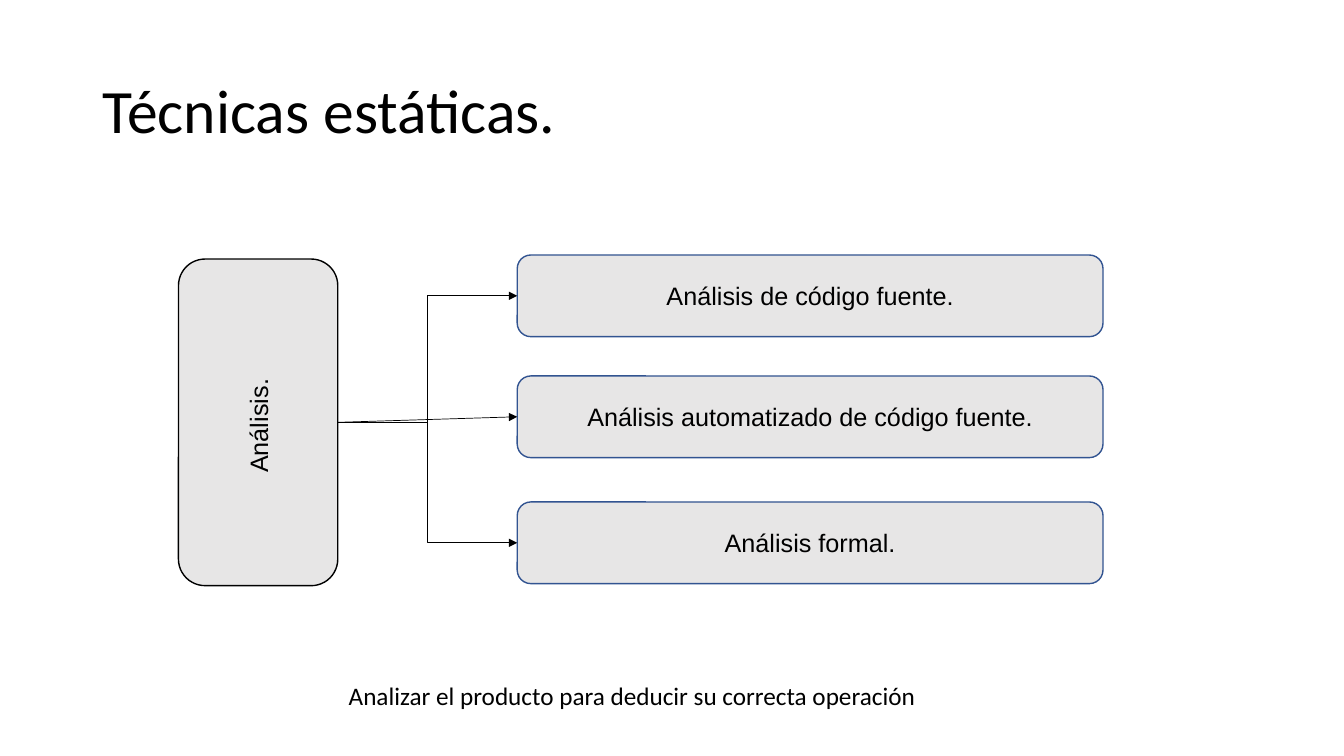
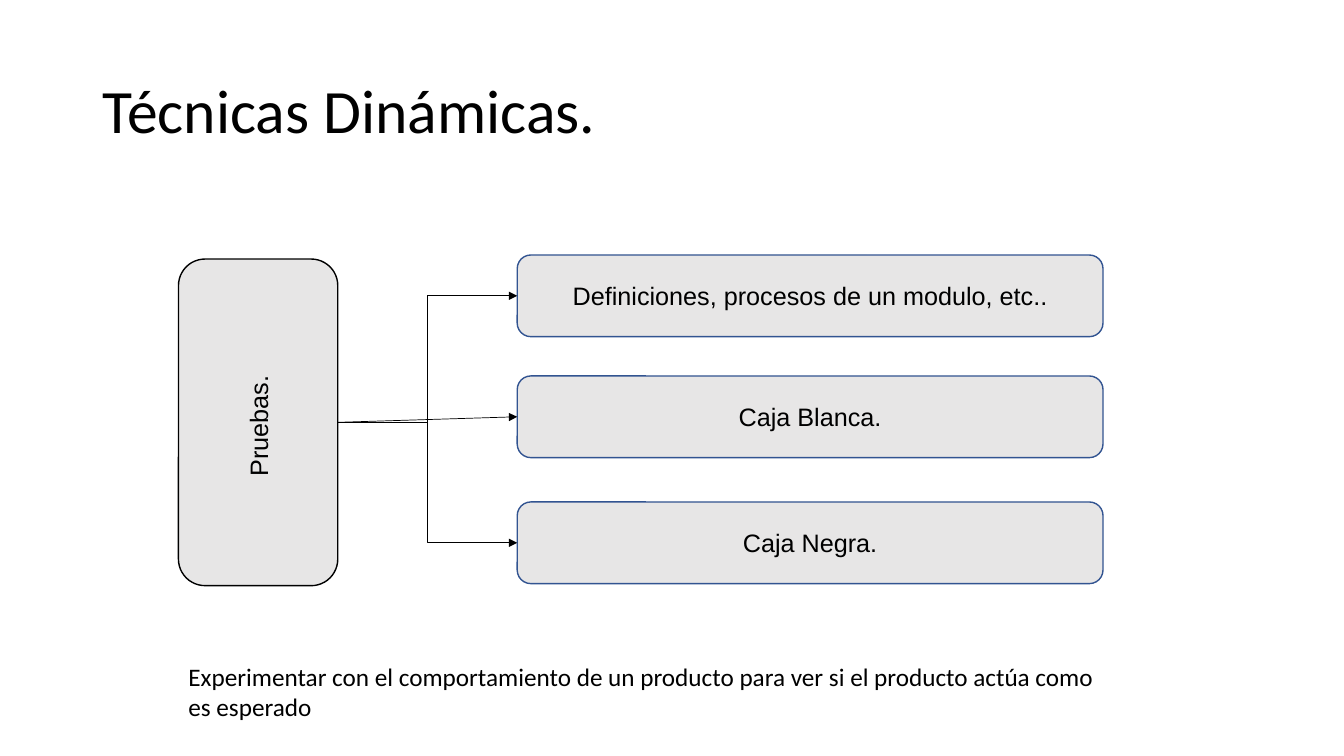
from dataclasses import dataclass

from lxml.etree import SubElement
from pptx import Presentation
from pptx.dml.color import RGBColor
from pptx.enum.shapes import MSO_CONNECTOR, MSO_SHAPE
from pptx.enum.text import MSO_ANCHOR, MSO_AUTO_SIZE, PP_ALIGN
from pptx.oxml.ns import qn
from pptx.presentation import Presentation as Deck
from pptx.shapes.autoshape import Shape
from pptx.slide import Slide
from pptx.util import Inches, Pt

COLOURS = {"text": "000000", "fill": "E7E6E6", "border": "325491"}
TITLE_FONT = "Calibri"
BOX_FONT = "Arial"
BODY_SIZE = 18


@dataclass(frozen=True)
class Area:
    left: float
    top: float
    width: float
    height: float

    @property
    def middle(self) -> float:
        return self.top + self.height / 2

    def lengths(self) -> tuple[int, ...]:
        return tuple(Inches(value) for value in (self.left, self.top, self.width, self.height))


@dataclass(frozen=True)
class Technique:
    title: str
    root: str
    branches: tuple[str, str, str]
    caption: str
    caption_area: Area


TITLE_AREA = Area(0.92, 0.4, 11.5, 1.45)
ROOT_AREA = Area(0.94, 3.4, 3.24, 1.58)
BRANCH_AREAS = tuple(Area(5.13, top, 5.81, 0.81) for top in (2.53, 3.73, 4.98))
ROOT_EDGE = ROOT_AREA.left + (ROOT_AREA.width + ROOT_AREA.height) / 2
BRANCH_LINKS = (MSO_CONNECTOR.ELBOW, MSO_CONNECTOR.STRAIGHT, MSO_CONNECTOR.ELBOW)

TECHNIQUES = (
    Technique(
        "Técnicas estáticas.",
        "Análisis. ",
        (
            "Análisis de código fuente.",
            "Análisis automatizado de código fuente.",
            "Análisis formal.",
        ),
        "Analizar el producto para deducir su correcta operación",
        Area(3.36, 6.7, 6.62, 0.4),
    ),
    Technique(
        "Técnicas Dinámicas.",
        "Pruebas. ",
        ("Definiciones, procesos de un modulo, etc..", "Caja Blanca.", "Caja Negra."),
        "Experimentar con el comportamiento de un producto para ver si el producto actúa como es esperado",
        Area(1.77, 6.51, 9.45, 0.71),
    ),
)


def colour(name: str) -> RGBColor:
    return RGBColor.from_string(COLOURS[name])


def write(box: Shape, text: str, font: str, size: float, align: PP_ALIGN, anchor: MSO_ANCHOR) -> None:
    frame = box.text_frame
    frame.word_wrap = True
    frame.vertical_anchor = anchor
    frame.text = text
    para = frame.paragraphs[0]
    para.alignment = align
    span = para.runs[0]
    span.font.name = font
    span.font.size = Pt(size)
    span.font.color.rgb = colour("text")


def add_title(page: Slide, text: str) -> None:
    box = page.shapes.add_textbox(*TITLE_AREA.lengths())
    write(box, text, TITLE_FONT, 44, PP_ALIGN.LEFT, MSO_ANCHOR.MIDDLE)
    box.text_frame.paragraphs[0].line_spacing = 0.9


def add_caption(page: Slide, text: str, area: Area) -> None:
    box = page.shapes.add_textbox(*area.lengths())
    write(box, text, TITLE_FONT, BODY_SIZE, PP_ALIGN.LEFT, MSO_ANCHOR.TOP)
    box.text_frame.auto_size = MSO_AUTO_SIZE.SHAPE_TO_FIT_TEXT


def add_box(page: Slide, text: str, area: Area, border: str, rotation: float = 0) -> None:
    box = page.shapes.add_shape(MSO_SHAPE.ROUNDED_RECTANGLE, *area.lengths())
    box.shadow.inherit = False
    box.rotation = rotation
    box.fill.solid()
    box.fill.fore_color.rgb = colour("fill")
    box.line.color.rgb = colour(border)
    box.line.width = Pt(1)
    write(box, text, BOX_FONT, BODY_SIZE, PP_ALIGN.CENTER, MSO_ANCHOR.MIDDLE)


def add_arrow(page: Slide, kind: MSO_CONNECTOR, target: Area) -> None:
    arrow = page.shapes.add_connector(
        kind,
        Inches(ROOT_EDGE),
        Inches(ROOT_AREA.middle),
        Inches(target.left),
        Inches(target.middle),
    )
    arrow.line.color.rgb = colour("text")
    arrow.line.width = Pt(0.5)
    SubElement(arrow.line._get_or_add_ln(), qn("a:tailEnd"), type="triangle")
    SubElement(arrow._element.spPr, qn("a:effectLst"))


def add_technique(deck: Deck, technique: Technique) -> None:
    page = deck.slides.add_slide(deck.slide_layouts[6])
    add_title(page, technique.title)
    for text, area in zip(technique.branches, BRANCH_AREAS):
        add_box(page, text, area, "border")
    add_box(page, technique.root, ROOT_AREA, "text", 270)
    for kind, area in zip(BRANCH_LINKS, BRANCH_AREAS):
        add_arrow(page, kind, area)
    add_caption(page, technique.caption, technique.caption_area)


def main() -> None:
    deck = Presentation()
    deck.slide_width = Inches(13.33)
    deck.slide_height = Inches(7.5)
    for technique in TECHNIQUES:
        add_technique(deck, technique)
    deck.save("out.pptx")


if __name__ == "__main__":
    main()
